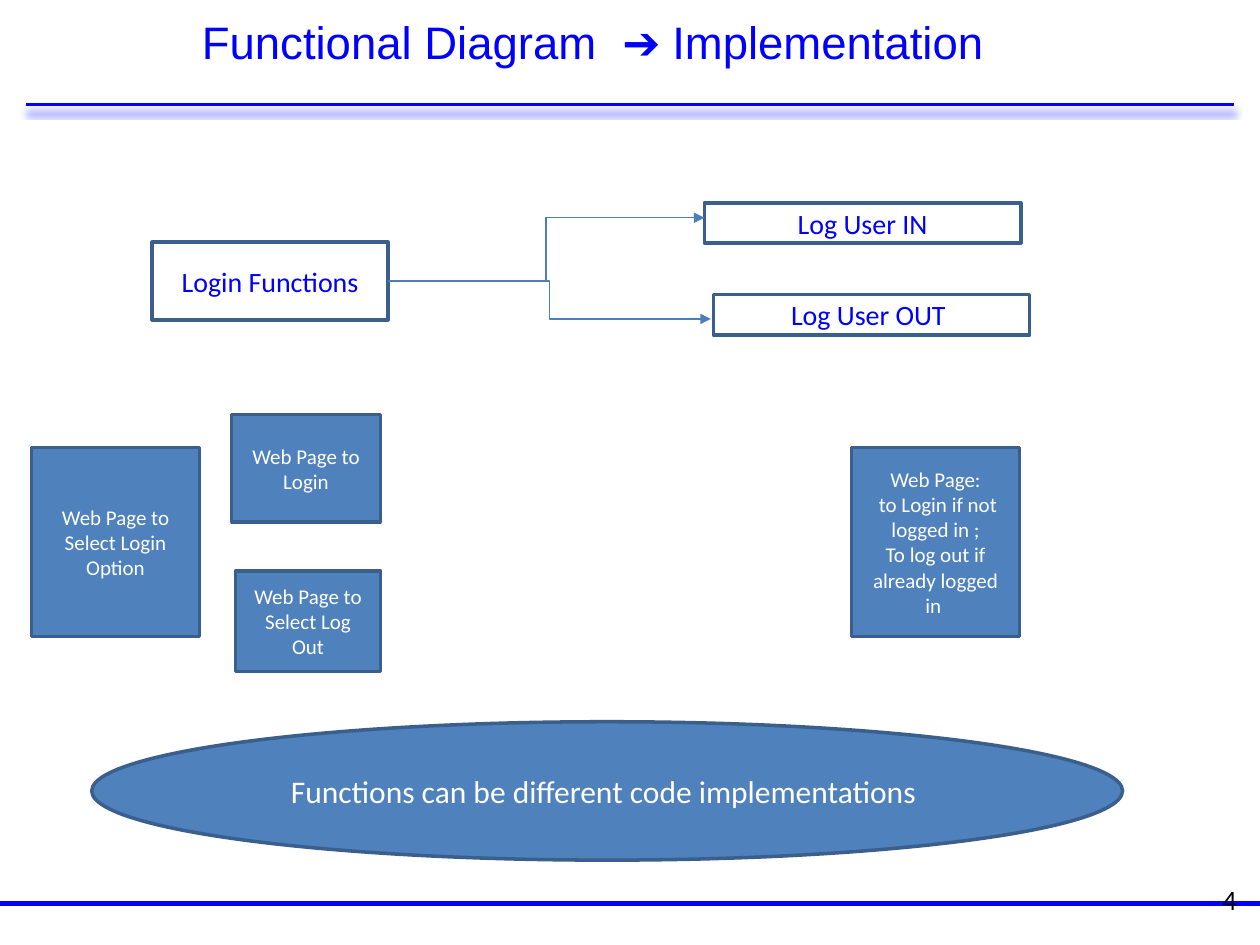
from dataclasses import dataclass

from lxml import etree
from pptx import Presentation
from pptx.dml.color import RGBColor as RGB
from pptx.enum.shapes import MSO_CONNECTOR as CONN, MSO_SHAPE as SHAPE
from pptx.enum.text import MSO_ANCHOR as ANCHOR, PP_ALIGN as ALIGN
from pptx.oxml.ns import qn
from pptx.util import Cm, Pt


@dataclass(frozen=True)
class Theme:
    blue: RGB = RGB(0x00, 0x00, 0xFF)
    fill: RGB = RGB(0x4F, 0x81, 0xBD)
    border: RGB = RGB(0x3A, 0x5F, 0x8C)
    arrow: RGB = RGB(0x4B, 0x7E, 0xBC)
    white: RGB = RGB(0xFF, 0xFF, 0xFF)
    black: RGB = RGB(0x00, 0x00, 0x00)
    title_font: str = "Arial"
    body_font: str = "Calibri"
    title: Pt = Pt(26)
    banner: Pt = Pt(18)
    label: Pt = Pt(16)
    page: Pt = Pt(12)


theme = Theme()


def write(tf, lines, font, size, color, align=ALIGN.CENTER):
    tf.word_wrap = True
    tf.vertical_anchor = ANCHOR.MIDDLE
    for i, line in enumerate(lines):
        p = tf.add_paragraph() if i else tf.paragraphs[0]
        p.alignment = align
        r = p.add_run()
        r.text = line
        r.font.name, r.font.size = font, size
        r.font.color.rgb = color


def connect(kind, x1, y1, x2, y2, color, width):
    cx = slide.shapes.add_connector(kind, Cm(x1), Cm(y1), Cm(x2), Cm(y2))
    cx.line.color.rgb = color
    cx.line.width = Pt(width)
    effects = etree.SubElement(cx._element.spPr, qn("a:effectLst"))
    return cx, effects


prs = Presentation()
prs.slide_width, prs.slide_height = Cm(25.4), Cm(19.05)
slide = prs.slides.add_slide(prs.slide_layouts[5])

# Footer rule, and header rule with a soft shadow
connect(CONN.STRAIGHT, 0, 18.21, 25.4, 18.21, theme.blue, 2.75)
rule, effects = connect(CONN.STRAIGHT, 0.53, 2.11, 24.87, 2.11, theme.blue, 1.5)
shadow = etree.SubElement(effects, qn("a:outerShdw"), blurRad=str(Pt(4)),
                          dist=str(Pt(4)), dir="5400000", rotWithShape="0")
etree.SubElement(shadow, qn("a:srgbClr"), val=str(theme.blue))

# Title
title = slide.shapes.title
title.left, title.top, title.width, title.height = Cm(0.43), Cm(0.2), Cm(23.06), Cm(1.27)
write(title.text_frame, ["Functional Diagram  ➔ Implementation"],
      theme.title_font, theme.title, theme.blue)

# Page number
number = slide.shapes.add_textbox(Cm(20.02), Cm(17.65), Cm(5.16), Cm(0.94))
write(number.text_frame, ["4"], theme.body_font, theme.label, theme.black, ALIGN.RIGHT)

# Functions (outlined), web pages and banner (filled)
outlined = (None, theme.label, theme.blue)
page = (theme.fill, theme.page, theme.white)
banner = (theme.fill, theme.banner, theme.white)
blocks = [
    (SHAPE.RECTANGLE, 3.07, 4.88, 4.75, 1.57, outlined, ["Login Functions"]),
    (SHAPE.RECTANGLE, 14.2, 4.09, 6.38, 0.81, outlined, ["Log User IN"]),
    (SHAPE.RECTANGLE, 14.38, 5.94, 6.38, 0.81, outlined, ["Log User OUT "]),
    (SHAPE.OVAL, 1.85, 14.55, 20.78, 2.79, banner,
     ["Functions can be different code implementations "]),
    (SHAPE.RECTANGLE, 0.64, 9.02, 3.38, 3.81, page, ["Web Page to Select Login Option"]),
    (SHAPE.RECTANGLE, 4.75, 11.51, 2.92, 2.03, page, ["Web Page to Select Log Out"]),
    (SHAPE.RECTANGLE, 4.67, 8.36, 3, 2.16, page, ["Web Page to Login"]),
    (SHAPE.RECTANGLE, 17.17, 9.02, 3.38, 3.81, page,
     ["Web Page:", " to Login if not logged in ;", "To log out if already logged in "]),
]
shapes = []
for kind, x, y, w, h, (fill, size, color), lines in blocks:
    sp = slide.shapes.add_shape(kind, Cm(x), Cm(y), Cm(w), Cm(h))
    sp.shadow.inherit = False
    if fill is None:
        sp.fill.background()
    else:
        sp.fill.solid()
        sp.fill.fore_color.rgb = fill
    sp.line.color.rgb = theme.border
    sp.line.width = Pt(2)
    write(sp.text_frame, lines, theme.body_font, size, color)
    shapes.append(sp)

# Arrows from the login functions to each action
login_functions = shapes[0]
for x, y in [(14.2, 4.39), (14.33, 6.43)]:
    arrow, _ = connect(CONN.ELBOW, 7.82, 5.66, x, y, theme.arrow, 0.75)
    arrow.begin_connect(login_functions, 3)
    etree.SubElement(arrow.line._get_or_add_ln(), qn("a:tailEnd"), type="triangle")

prs.save("out.pptx")
